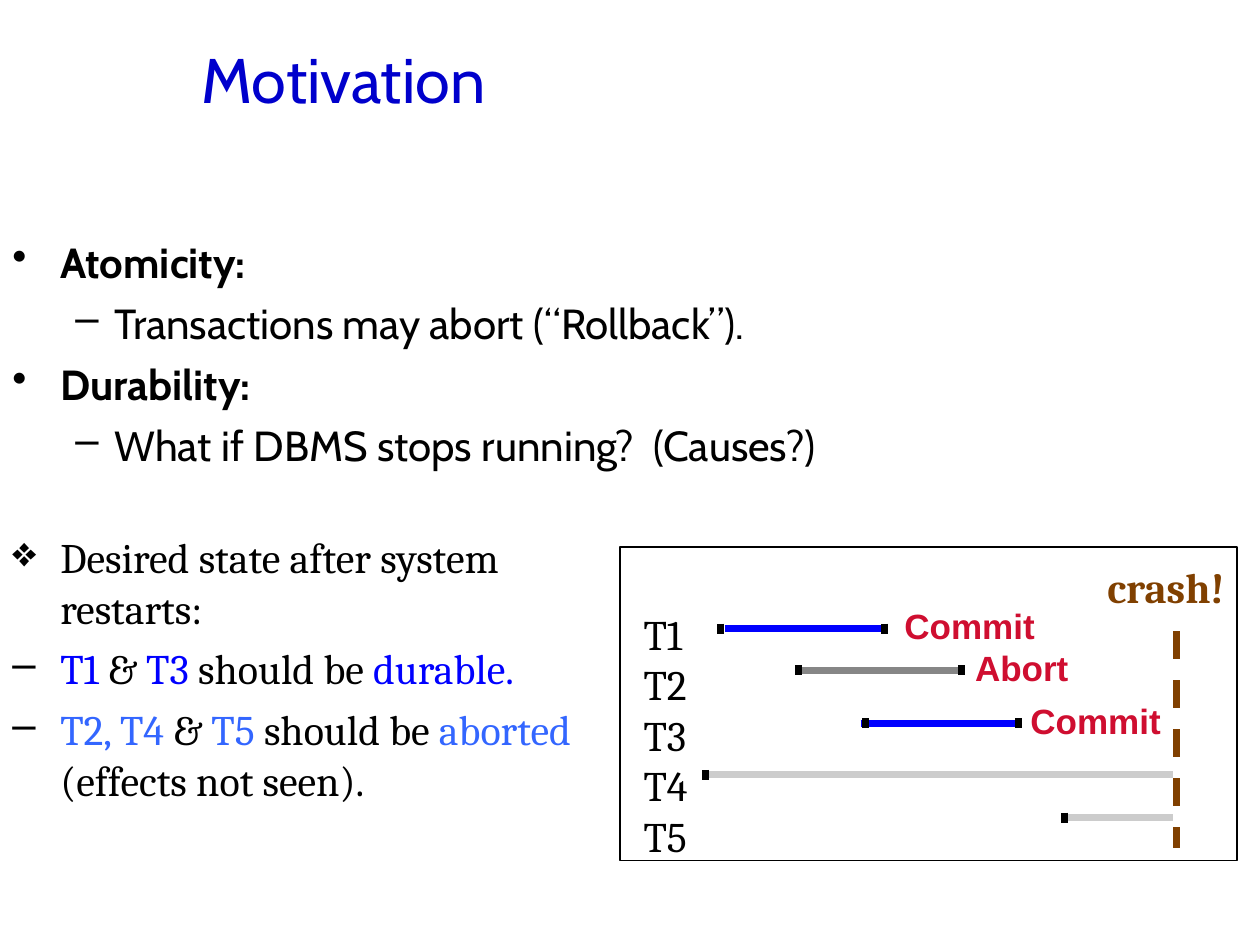
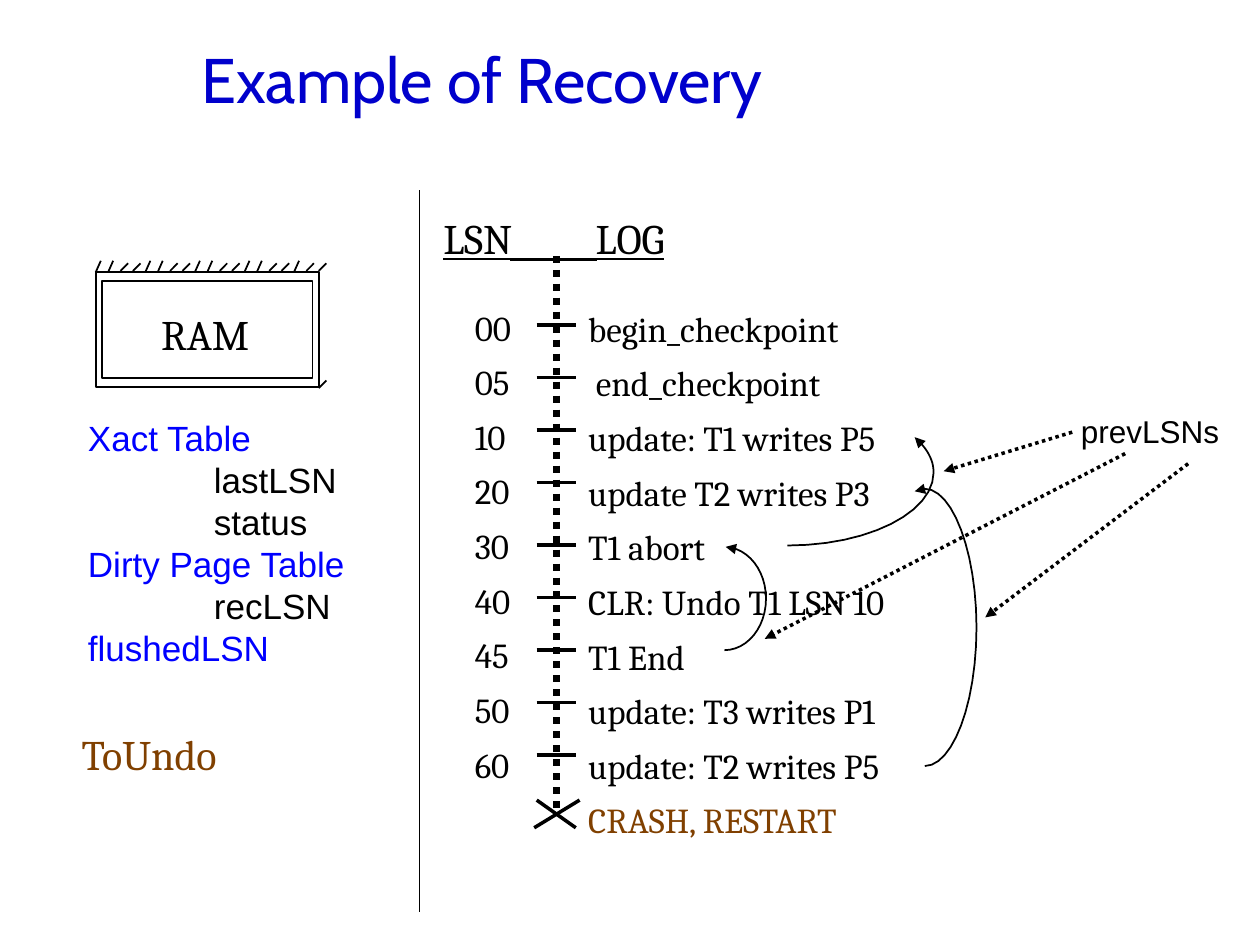
from lxml import etree
from pptx import Presentation
from pptx.dml.color import RGBColor
from pptx.enum.dml import MSO_LINE
from pptx.enum.shapes import MSO_CONNECTOR, MSO_SHAPE
from pptx.enum.text import MSO_ANCHOR
from pptx.oxml.ns import qn
from pptx.util import Inches, Pt

STRAIGHT = MSO_CONNECTOR.STRAIGHT
RECTANGLE = MSO_SHAPE.RECTANGLE
MIDDLE = MSO_ANCHOR.MIDDLE
DASH = MSO_LINE.DASH
DOTS = MSO_LINE.ROUND_DOT

BLACK = RGBColor(0x00, 0x00, 0x00)
TITLE_BLUE = RGBColor(0x00, 0x00, 0xCC)
BLUE = RGBColor(0x00, 0x00, 0xFF)
SKY = RGBColor(0x33, 0x66, 0xFF)
BROWN = RGBColor(0x80, 0x40, 0x00)
RED = RGBColor(0xCF, 0x0E, 0x30)
GRAY = RGBColor(0x86, 0x86, 0x86)
LIGHT_GRAY = RGBColor(0xCC, 0xCC, 0xCC)

HEADING_FONT, SERIF, SANS = "Cabin", "Cambria", "Arial"

PROPERTIES = [
    ("Atomicity:", "Transactions may abort (“Rollback”)."),
    ("Durability:", "What if DBMS stops running?  (Causes?)"),
]
DESIRED_STATE = [
    ("❖", ["Desired state after system restarts:"]),
    ("–", [("T1", BLUE), " & ", ("T3", BLUE), " should be ", ("durable.", BLUE)]),
    ("–", [("T2, T4", SKY), " & ", ("T5 ", SKY), "should be ", ("aborted", SKY),
           " (effects not seen)."]),
]
TRANSACTIONS = [
    ("T1", 4.99, 5.75, 6.99, BLUE, (5.72, 7.02)),
    ("T2", 5.32, 6.36, 7.6, GRAY, (6.34, 7.63)),
    ("T3", 5.74, 6.83, 8.07, BLUE, (6.87, 8.08)),
    ("T4", 6.15, 5.6, 9.31, LIGHT_GRAY, (5.6,)),
    ("T5", 6.49, 8.48, 9.31, LIGHT_GRAY, (8.45,)),
]
OUTCOMES = [
    ("Commit", (7.08, 4.75, 1.4, 0.44)),
    ("Abort", (7.64, 5.08, 1.1, 0.44)),
    ("Commit", (8.08, 5.5, 1.4, 0.44)),
]

LOG = [
    ("00", "begin_checkpoint"),
    ("05", " end_checkpoint"),
    ("10", "update: T1 writes P5"),
    ("20", "update T2 writes P3"),
    ("30", "T1 abort"),
    ("40", "CLR: Undo T1 LSN 10"),
    ("45", "T1 End"),
    ("50", "update: T3 writes P1"),
    ("60", "update: T2 writes P5"),
]
RAM_CONTENTS = [
    ("Xact Table", ["lastLSN", "status"]),
    ("Dirty Page Table", ["recLSN"]),
    ("flushedLSN", []),
]
PREV_LSN_ARROWS = [
    ((8.51, 3.43), (7.49, 3.74)),
    ((8.93, 3.6), (6.07, 5.07)),
    ((9.43, 3.68), (7.82, 4.9)),
]
PREV_LSN_CURVES = [
    [(5.76, 4.34), (5.94, 4.35), (6.08, 4.53), (6.08, 4.75),
     (6.08, 4.98), (5.93, 5.16), (5.75, 5.16)],
    [(7.26, 3.47), (7.36, 3.56), (7.41, 3.65), (7.41, 3.75),
     (7.41, 4.07), (6.89, 4.33), (6.25, 4.33)],
    [(7.26, 3.9), (7.29, 3.89), (7.31, 3.88), (7.34, 3.88),
     (7.56, 3.88), (7.75, 4.38), (7.75, 4.98),
     (7.75, 5.59), (7.56, 6.08), (7.34, 6.08)],
]
CURVE_STEPS = 12


def add_child(parent, tag, **attributes):
    return etree.SubElement(parent, qn(tag), attributes)


def add_text(slide, box, paragraphs, font, size, color=BLACK, bold=False,
             wrap=False, spacing=None):
    frame = slide.shapes.add_textbox(*map(Inches, box)).text_frame
    frame.word_wrap = wrap
    for index, runs in enumerate(paragraphs):
        paragraph = frame.paragraphs[0] if index == 0 else frame.add_paragraph()
        paragraph.font.name = font
        paragraph.font.size = Pt(size)
        paragraph.font.bold = bold
        paragraph.font.color.rgb = color
        if spacing:
            paragraph.line_spacing = spacing
        for part in [runs] if isinstance(runs, str) else runs:
            text, run_color = (part, None) if isinstance(part, str) else part
            run = paragraph.add_run()
            run.text = text
            if run_color is not None:
                run.font.color.rgb = run_color
    return frame


def set_indent(paragraph, margin, first_line=0):
    properties = paragraph._p.get_or_add_pPr()
    properties.set("marL", str(Inches(margin)))
    properties.set("indent", str(Inches(first_line)))
    return properties


def set_bullet(paragraph, character, margin, hanging):
    paragraph.space_before = Pt(6)
    properties = set_indent(paragraph, margin, -hanging)
    bullet_color = etree.Element(qn("a:buClr"))
    add_child(bullet_color, "a:srgbClr", val=str(BLACK))
    font = properties.find(qn("a:defRPr"))
    font.addprevious(bullet_color)
    font.addprevious(etree.Element(qn("a:buChar"), char=character))


def style_line(shape, color, width, dash=None, arrow=None):
    shape.line.color.rgb = color
    shape.line.width = Pt(width)
    if dash is not None:
        shape.line.dash_style = dash
    if arrow:
        add_child(shape._element.spPr.find(qn("a:ln")), arrow, type="triangle")


def add_line(slide, start, end, color=BLACK, width=1, dash=None, arrow=None):
    line = slide.shapes.add_connector(STRAIGHT, *map(Inches, (*start, *end)))
    style_line(line, color, width, dash, arrow)
    add_child(line._element.spPr, "a:effectLst")


def add_frame(slide, box):
    frame = slide.shapes.add_shape(RECTANGLE, *map(Inches, box))
    frame.shadow.inherit = False
    frame.fill.background()
    style_line(frame, BLACK, 1)


def curve_points(controls):
    points = [controls[0]]
    for first in range(0, len(controls) - 1, 3):
        segment = controls[first:first + 4]
        for step in range(1, CURVE_STEPS + 1):
            t = step / CURVE_STEPS
            weights = ((1 - t) ** 3, 3 * t * (1 - t) ** 2, 3 * t * t * (1 - t), t ** 3)
            points.append(tuple(sum(w * p[axis] for w, p in zip(weights, segment))
                                for axis in (0, 1)))
    return [(Inches(x), Inches(y)) for x, y in points]


def add_curve(slide, controls):
    start, *rest = curve_points(controls)
    builder = slide.shapes.build_freeform(*start)
    builder.add_line_segments(rest, close=False)
    curve = builder.convert_to_shape()
    curve.shadow.inherit = False
    curve.fill.background()
    style_line(curve, BLACK, 1, arrow="a:headEnd")


def add_slide(presentation, title):
    slide = presentation.slides.add_slide(presentation.slide_layouts[6])
    frame = add_text(slide, (1.5, 0, 8.25, 1.25), [title], HEADING_FONT, 36,
                     TITLE_BLUE, wrap=True)
    frame.vertical_anchor = MIDDLE
    return slide


def build_motivation(presentation):
    slide = add_slide(presentation, "Motivation")
    lines = [line for pair in PROPERTIES for line in pair]
    frame = add_text(slide, (0, 1.83, 7.5, 2.25), lines, HEADING_FONT, 24, wrap=True)
    for index, paragraph in enumerate(frame.paragraphs):
        if index % 2 == 0:
            paragraph.font.bold = True
            set_bullet(paragraph, "•", 0.38, 0.38)
        else:
            set_bullet(paragraph, "–", 0.81, 0.31)

    frame = add_text(slide, (0, 4.17, 4.92, 2.92), [runs for _, runs in DESIRED_STATE],
                     SERIF, 24, wrap=True)
    for paragraph, (character, _) in zip(frame.paragraphs, DESIRED_STATE):
        set_bullet(paragraph, character, 0.38, 0.38)

    add_text(slide, (8.69, 4.41, 1.2, 0.5), ["crash!"], SERIF, 24, BROWN, bold=True)
    add_text(slide, (5.01, 4.78, 0.57, 2.1), [row[0] for row in TRANSACTIONS], SERIF, 24)
    for _, y, start, end, color, marks in TRANSACTIONS:
        add_line(slide, (start, y), (end, y), color, 4)
        for x in marks:
            add_line(slide, (x, y - 0.04), (x, y + 0.04), BLACK, 4)
    add_line(slide, (9.34, 5.01), (9.34, 6.73), BROWN, 4, DASH)
    add_frame(slide, (4.92, 4.34, 4.9, 2.49))
    for outcome, box in OUTCOMES:
        add_text(slide, box, [outcome], SANS, 20, RED, bold=True, wrap=True)


def add_ram(slide):
    left, top, width, height = 0.76, 2.16, 1.77, 0.91
    add_text(slide, (1.18, 2.4, 0.92, 0.5), ["RAM"], SERIF, 24)
    add_frame(slide, (left, top, width, height))
    add_frame(slide, (0.81, 2.23, 1.67, 0.77))
    for index in range(19):
        x = left + index * width / 18
        if index % 4 < 2 and index < 17:
            add_line(slide, (x, top), (x + 0.04, top - 0.09))
        else:
            add_line(slide, (x, top - 0.01), (x + 0.06, top - 0.07))
    add_line(slide, (2.53, 3.08), (2.59, 3.02))

    contents = []
    for name, fields in RAM_CONTENTS:
        contents += [[(name, BLUE)], *fields]
    frame = add_text(slide, (0.6, 3.26, 2.27, 2.43), contents, SANS, 20)
    for paragraph, content in zip(frame.paragraphs, contents):
        if isinstance(content, str):
            set_indent(paragraph, 1)
    add_text(slide, (0.55, 5.73, 1.44, 0.5), ["ToUndo"], SERIF, 24, BROWN)


def add_log(slide):
    frame = add_text(slide, (3.42, 1.64, 2.27, 0.5), ["LSN\tLOG"], SERIF, 24)
    heading = frame.paragraphs[0]
    heading.font.underline = True
    tabs = etree.Element(qn("a:tabLst"))
    add_child(tabs, "a:tab", pos=str(Inches(1.21)), algn="l")
    heading._p.pPr.find(qn("a:defRPr")).addprevious(tabs)
    add_line(slide, (4.05, 2.06), (4.74, 2.06), width=1.5)

    entries = [entry for _, entry in LOG] + [[("CRASH, RESTART", BROWN)]]
    add_text(slide, (4.57, 2.29, 2.91, 4.43), entries, SERIF, 20, spacing=1.3)
    add_text(slide, (3.67, 2.28, 0.7, 4), [number for number, _ in LOG], SERIF, 20,
             wrap=True, spacing=1.3)

    add_line(slide, (4.42, 2.03), (4.42, 6.47), BLACK, 4, DOTS)
    for index in range(len(LOG)):
        y = 2.58 + index * 5 / 12 + (0.08 if index >= 4 else 0)
        add_line(slide, (4.26, y), (4.57, y), width=2)
    add_line(slide, (4.26, 6.35), (4.57, 6.57), width=2)
    add_line(slide, (4.6, 6.35), (4.24, 6.57), width=2)


def build_recovery(presentation):
    slide = add_slide(presentation, "Example of Recovery")
    add_log(slide)
    add_line(slide, (3.33, 1.51), (3.33, 7.24))
    add_ram(slide)
    add_text(slide, (8.48, 3.22, 1.3, 0.4), ["prevLSNs"], SANS, 18)
    for start, end in PREV_LSN_ARROWS:
        add_line(slide, start, end, BLACK, 2, DOTS, "a:tailEnd")
    for controls in PREV_LSN_CURVES:
        add_curve(slide, controls)


def main():
    presentation = Presentation()
    presentation.slide_width = Inches(10)
    presentation.slide_height = Inches(7.5)
    build_motivation(presentation)
    build_recovery(presentation)
    presentation.save("out.pptx")


if __name__ == "__main__":
    main()
